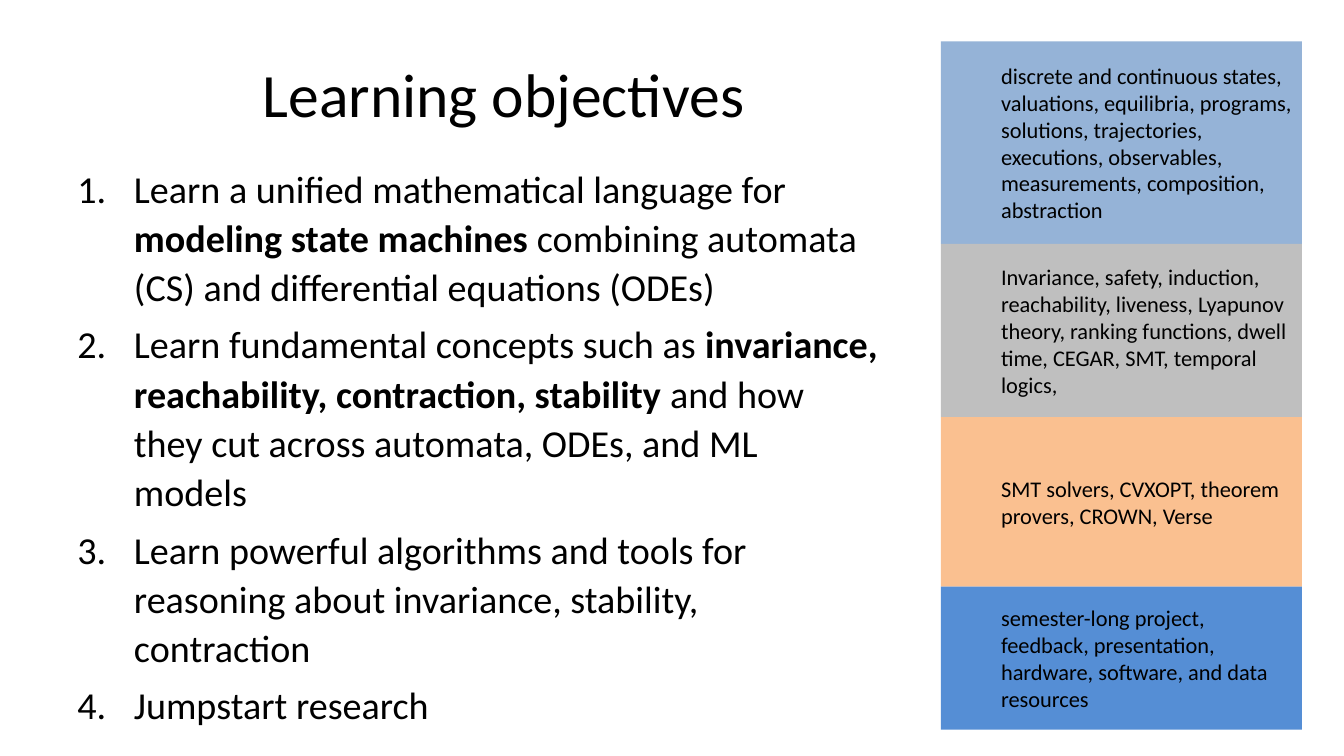
from dataclasses import dataclass

from lxml import etree
from pptx import Presentation
from pptx import util as u
from pptx.dml.color import RGBColor
from pptx.enum import shapes, text
from pptx.oxml.ns import qn

FONT = "Calibri"
COLORS = {
    "text": "000000",
    "modeling": "95B3D7",
    "concepts": "BFBFBF",
    "tools": "FAC090",
    "research": "558ED5",
}
PANEL_LEFT, PANEL_TOP, PANEL_WIDTH = 672, 29.5, 258


@dataclass
class Panel:
    color: str
    height: float
    topics: str


PANELS = [
    Panel("modeling", 144.7, "discrete and continuous states, valuations, equilibria, programs, "
          "solutions, trajectories, executions, observables, measurements, composition, abstraction"),
    Panel("concepts", 123.8, "Invariance, safety, induction, reachability, liveness, Lyapunov "
          "theory, ranking functions, dwell time, CEGAR, SMT, temporal logics,"),
    Panel("tools", 121, "SMT solvers, CVXOPT, theorem provers, CROWN, Verse"),
    Panel("research", 102.2, "semester-long project, feedback, presentation, hardware, "
          "software, and data resources"),
]

# Each objective alternates plain and bold runs, beginning with a plain one.
OBJECTIVES = [
    ["Learn a unified mathematical language for ", "modeling state machines ",
     "combining automata (CS) and differential equations (ODEs)"],
    ["Learn fundamental concepts such as ",
     "invariance, reachability, contraction, stability",
     " and how they cut across automata, ODEs, and ML models"],
    ["Learn powerful algorithms and tools for reasoning about invariance, stability, contraction"],
    ["Jumpstart research"],
]


def add_text(paragraph, content: str, *, size: float, bold: bool = False) -> None:
    run = paragraph.add_run()
    run.text = content
    run.font.name = FONT
    run.font.size = u.Pt(size)
    run.font.bold = bold
    run.font.color.rgb = RGBColor.from_string(COLORS["text"])


def place(shape, left: float, top: float, width: float, height: float) -> None:
    shape.left, shape.top = u.Pt(left), u.Pt(top)
    shape.width, shape.height = u.Pt(width), u.Pt(height)


def set_indent(paragraph, margin: float, first_line: float = 0):
    properties = paragraph._p.get_or_add_pPr()
    properties.set("marL", str(u.Pt(margin)))
    properties.set("indent", str(u.Pt(first_line)))
    return properties


def number(paragraph) -> None:
    properties = set_indent(paragraph, 40.5, -40.5)
    etree.SubElement(properties, qn("a:buFont"), typeface=FONT)
    etree.SubElement(properties, qn("a:buAutoNum"), type="arabicPeriod")


def add_title(slide) -> None:
    title = slide.shapes.title
    place(title, 48, 21.6, 624, 90)
    frame = title.text_frame
    frame.auto_size = text.MSO_AUTO_SIZE.NONE
    frame.vertical_anchor = text.MSO_ANCHOR.MIDDLE
    paragraph = frame.paragraphs[0]
    paragraph.alignment = text.PP_ALIGN.CENTER
    add_text(paragraph, "Learning objectives", size=44)


def add_objectives(slide) -> None:
    body = slide.placeholders[1]
    place(body, 48, 111.6, 588, 371)
    frame = body.text_frame
    frame.auto_size = text.MSO_AUTO_SIZE.NONE
    for index, runs in enumerate(OBJECTIVES):
        paragraph = frame.add_paragraph() if index else frame.paragraphs[0]
        number(paragraph)
        paragraph.line_spacing = 1.08
        paragraph.space_before = u.Pt(5.5 if index else 0)
        for position, content in enumerate(runs):
            add_text(paragraph, content, size=27.2, bold=position % 2 == 1)


def add_panel(slide, panel: Panel, top: float) -> None:
    shape = slide.shapes.add_shape(
        shapes.MSO_SHAPE.RECTANGLE, u.Pt(PANEL_LEFT), u.Pt(top),
        u.Pt(PANEL_WIDTH), u.Pt(panel.height))
    shape.shadow.inherit = False
    shape.fill.solid()
    shape.fill.fore_color.rgb = RGBColor.from_string(COLORS[panel.color])
    shape.line.fill.background()
    frame = shape.text_frame
    frame.word_wrap = True
    frame.vertical_anchor = text.MSO_ANCHOR.MIDDLE
    paragraph = frame.paragraphs[0]
    paragraph.level = 1
    paragraph.alignment = text.PP_ALIGN.LEFT
    set_indent(paragraph, 36)
    add_text(paragraph, panel.topics, size=16)


def main() -> None:
    presentation = Presentation()
    presentation.slide_width, presentation.slide_height = u.Pt(960), u.Pt(540)
    slide = presentation.slides.add_slide(presentation.slide_layouts[1])
    add_title(slide)
    add_objectives(slide)
    top = PANEL_TOP
    for panel in PANELS:
        add_panel(slide, panel, top)
        top += panel.height
    presentation.save("out.pptx")


if __name__ == "__main__":
    main()
